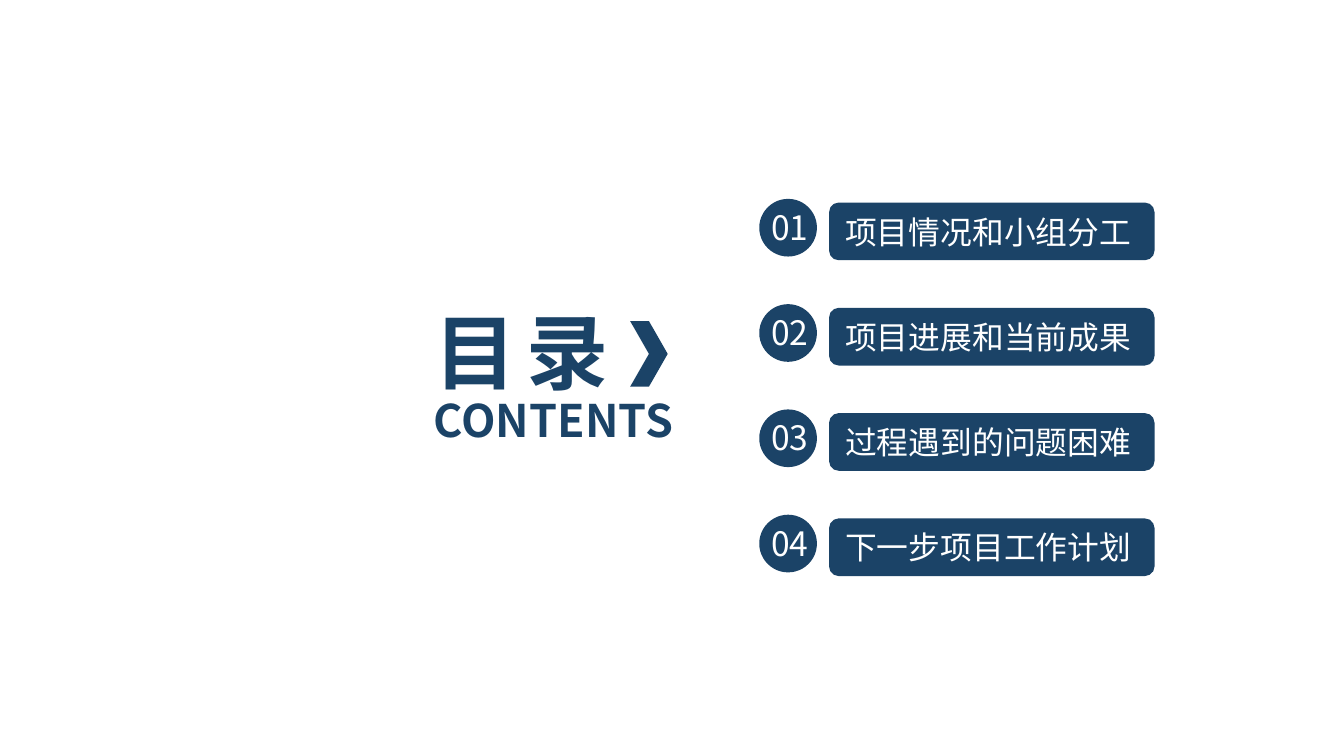
"""Build a contents slide with a heading and four numbered agenda bars."""
from lxml import etree
from pptx import Presentation
from pptx.dml.color import RGBColor
from pptx.enum.shapes import MSO_SHAPE
from pptx.enum.text import MSO_ANCHOR, MSO_AUTO_SIZE, PP_ALIGN
from pptx.oxml.ns import qn
from pptx.util import Cm, Pt

ROUNDED, OVAL, CHEVRON = MSO_SHAPE.ROUNDED_RECTANGLE, MSO_SHAPE.OVAL, MSO_SHAPE.CHEVRON
LEFT, CENTER = PP_ALIGN.LEFT, PP_ALIGN.CENTER
MIDDLE, NO_FIT = MSO_ANCHOR.MIDDLE, MSO_AUTO_SIZE.NONE

THEME = {
    "font": "Noto Sans CJK SC",
    "navy": RGBColor(0x1B, 0x43, 0x67),
    "white": RGBColor(0xFF, 0xFF, 0xFF),
    "heading": Pt(44),
    "subheading": Pt(24),
    "number": Pt(18),
    "topic": Pt(17),
}
TOPICS = ["项目情况和小组分工", "项目进展和当前成果", "过程遇到的问题困难", "下一步项目工作计划"]
FIRST_TOP, PITCH = 3.76, 1.99


def write(box, text, size, color, align=LEFT, bold=False):
    frame = box.text_frame
    for name, value in {"word_wrap": True, "auto_size": NO_FIT, "vertical_anchor": MIDDLE}.items():
        setattr(frame, name, value)
    para = frame.paragraphs[0]
    para.alignment = align
    span = para.add_run()
    span.text = text
    for name, value in {"name": THEME["font"], "size": THEME[size], "bold": bold}.items():
        setattr(span.font, name, value)
    span.font.color.rgb = THEME[color]
    props = span.font._element
    etree.SubElement(props, qn("a:ea")).set("typeface", THEME["font"])
    return props


def add_solid(shapes, kind, left, top, width, height):
    shape = shapes.add_shape(kind, Cm(left), Cm(top), Cm(width), Cm(height))
    shape.shadow.inherit = False
    shape.fill.solid()
    shape.fill.fore_color.rgb = THEME["navy"]
    shape.line.fill.background()
    return shape


deck = Presentation()
deck.slide_width, deck.slide_height = Cm(25.4), Cm(14.29)
page = deck.slides.add_slide(deck.slide_layouts[5])

title = page.shapes.title
for name, value in {"left": 7.95, "top": 5.56, "width": 5.97, "height": 2.13}.items():
    setattr(title, name, Cm(value))
write(title, "目 录", "heading", "navy", bold=True).set("spc", "-220")

subtitle = page.shapes.add_textbox(Cm(7.95), Cm(7.29), Cm(5.87), Cm(1.27))
write(subtitle, "CONTENTS", "subheading", "navy", bold=True)
add_solid(page.shapes, CHEVRON, 11.91, 6.07, 0.71, 1.24)

for index, topic in enumerate(TOPICS):
    top = FIRST_TOP + index * PITCH
    bar = add_solid(page.shapes, ROUNDED, 15.67, top + 0.07, 6.15, 1.09)
    write(bar, topic, "topic", "white")
    badge = page.shapes.add_group_shape()
    add_solid(badge.shapes, OVAL, 14.35, top, 1.09, 1.09)
    number = badge.shapes.add_textbox(Cm(14.27), Cm(top + 0.02), Cm(1.32), Cm(1.02))
    write(number, f"{index + 1:02d}", "number", "white", CENTER)

deck.save("out.pptx")
